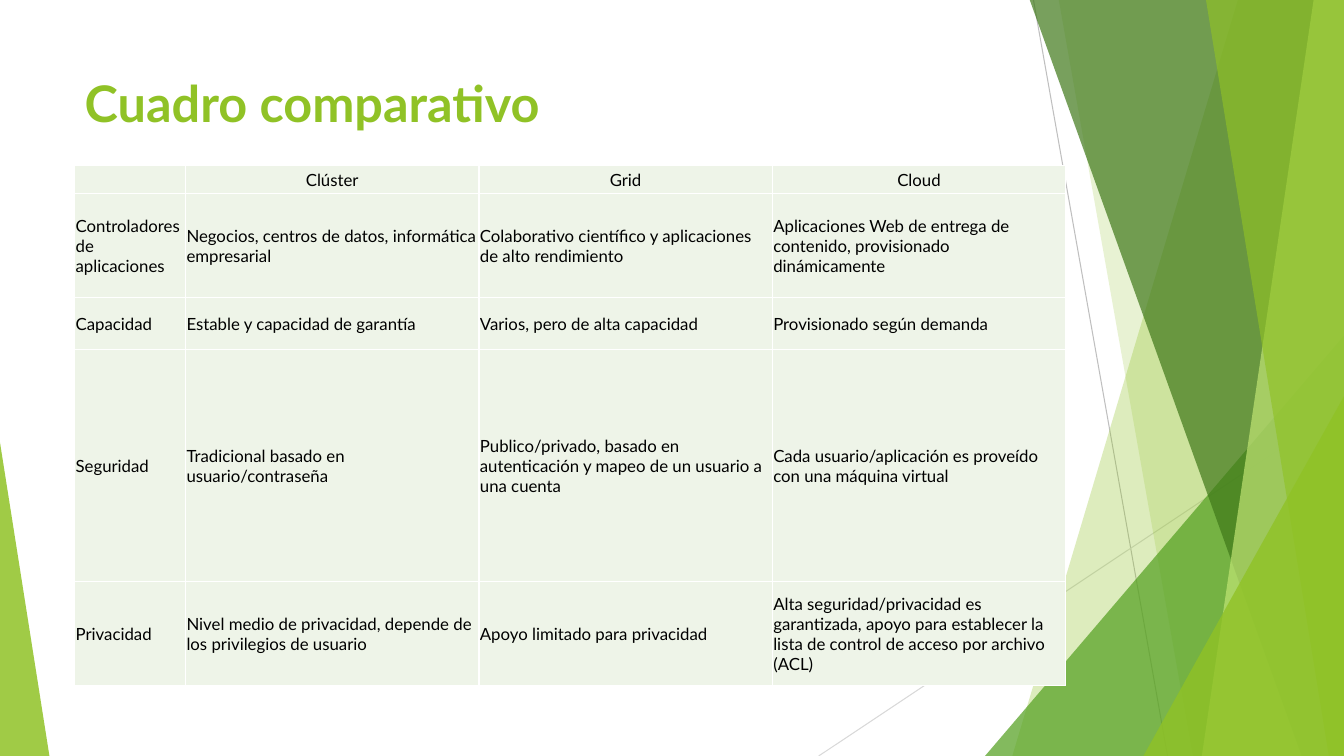
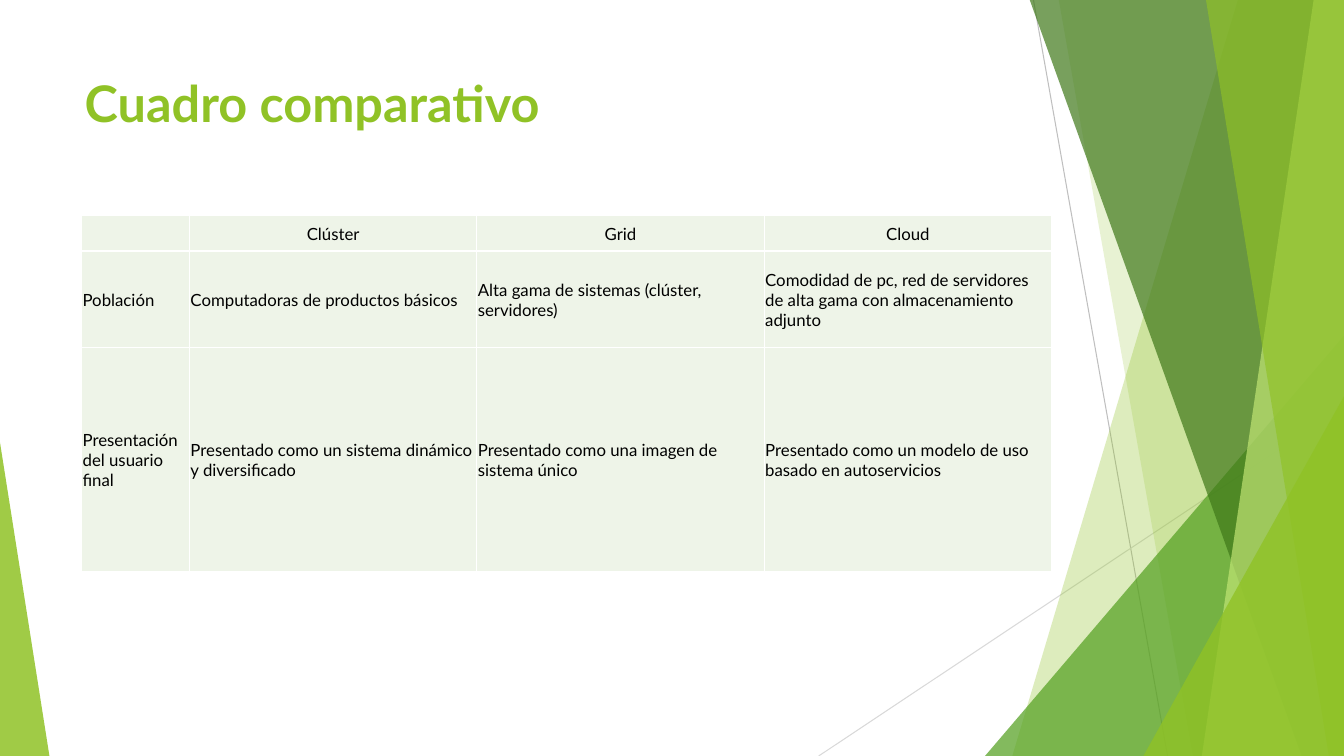
from lxml import etree
from pptx import Presentation
from pptx.dml.color import RGBColor
from pptx.enum.shapes import MSO_CONNECTOR, MSO_SHAPE
from pptx.enum.text import MSO_ANCHOR, PP_ALIGN
from pptx.oxml.ns import qn
from pptx.util import Inches, Pt

STRAIGHT = MSO_CONNECTOR.STRAIGHT
TRIANGLE = MSO_SHAPE.ISOSCELES_TRIANGLE
TOP, MIDDLE = MSO_ANCHOR.TOP, MSO_ANCHOR.MIDDLE
LEFT, CENTER = PP_ALIGN.LEFT, PP_ALIGN.CENTER

LIME = RGBColor(0x90, 0xC2, 0x26)
PALE_LIME = RGBColor(0xC0, 0xE4, 0x74)
GREEN = RGBColor(0x54, 0xA0, 0x21)
DARK_GREEN = RGBColor(0x3F, 0x78, 0x19)
CELL_GREEN = RGBColor(0xEE, 0xF4, 0xE8)
GRAY = RGBColor(0xBF, 0xBF, 0xBF)
LIGHT_GRAY = RGBColor(0xD9, 0xD9, 0xD9)
BLACK = RGBColor(0, 0, 0)
WHITE = RGBColor(0xFF, 0xFF, 0xFF)

FONT = "Lato"
WIDTH, HEIGHT, BLEED = 13.33, 7.5, -0.01
TITLE_BOX = (0.74, 0.67, 9.4, 1.44)
TITLE = "Cuadro comparativo"
HEADINGS = ("", "Clúster", "Grid", "Cloud")

LINES = (
    ((10.25, 0), (11.58, HEIGHT), GRAY),
    ((WIDTH, 4.03), (8.12, HEIGHT), LIGHT_GRAY),
)

APPLICATION_ROWS = (
    HEADINGS,
    ("Controladores de aplicaciones",
     "Negocios, centros de datos, informática empresarial",
     "Colaborativo científico y aplicaciones de alto rendimiento",
     "Aplicaciones Web de entrega de contenido, provisionado dinámicamente"),
    ("Capacidad",
     "Estable y capacidad de garantía",
     "Varios, pero de alta capacidad",
     "Provisionado según demanda"),
    ("Seguridad",
     "Tradicional basado en usuario/contraseña",
     "Publico/privado, basado en autenticación y mapeo de un usuario a una cuenta",
     "Cada usuario/aplicación es proveído con una máquina virtual"),
    ("Privacidad",
     "Nivel medio de privacidad, depende de los privilegios de usuario",
     "Apoyo limitado para privacidad",
     "Alta seguridad/privacidad es garantizada, apoyo para establecer la lista "
     "de control de acceso por archivo (ACL)"),
)

USER_ROWS = (
    HEADINGS,
    ("Población",
     "Computadoras de productos básicos",
     "Alta gama de sistemas (clúster, servidores)",
     "Comodidad de pc, red de servidores de alta gama con almacenamiento adjunto"),
    ("Presentación del usuario final",
     "Presentado como un sistema dinámico y diversificado",
     "Presentado como una imagen de sistema único",
     "Presentado como un modelo de uso basado en autoservicios"),
)


def paint(shape, color, opacity):
    """Fill a shape with a translucent colour, without outline or shadow."""
    shape.shadow.inherit = False
    shape.line.fill.background()
    shape.fill.solid()
    shape.fill.fore_color.rgb = color
    color_element = shape.element.spPr.find(qn("a:solidFill"))[0]
    etree.SubElement(color_element, qn("a:alpha"), val=str(opacity * 1000))
    return shape


def add_line(slide, start, end, color):
    """Draw a thin straight line."""
    points = [Inches(value) for value in (*start, *end)]
    line = slide.shapes.add_connector(STRAIGHT, *points)
    line.line.color.rgb = color
    line.line.width = Pt(0.75)
    etree.SubElement(line.element.spPr, qn("a:effectLst"))
    return line


def add_band(slide, top_x, bottom_x, color, opacity):
    """Draw a full-height band from a slanted left edge to the right border."""
    builder = slide.shapes.build_freeform(Inches(top_x), Inches(BLEED))
    corners = ((WIDTH, BLEED), (WIDTH, HEIGHT), (bottom_x, HEIGHT))
    builder.add_line_segments([(Inches(x), Inches(y)) for x, y in corners])
    return paint(builder.convert_to_shape(), color, opacity)


def add_triangle(slide, left, top, width, apex, color, opacity):
    """Draw a triangle that stands on the bottom border."""
    box = [Inches(value) for value in (left, top, width, HEIGHT - top)]
    triangle = slide.shapes.add_shape(TRIANGLE, *box)
    triangle.adjustments[0] = apex
    return paint(triangle, color, opacity)


def add_decoration(slide, layout):
    """Draw the green facets and move them behind the layout's placeholders."""
    facets = [add_line(slide, *line) for line in LINES]
    facets += [
        add_band(slide, 12.28, 10.04, LIME, 30),
        add_band(slide, 10.5, 11.83, LIME, 20),
        add_triangle(slide, 9.77, 3.33, 3.56, 1, GREEN, 72),
        add_band(slide, 10.21, 12.91, DARK_GREEN, 70),
        add_band(slide, 13.03, 11.92, PALE_LIME, 70),
        add_band(slide, 11.96, 13.18, LIME, 65),
        add_triangle(slide, 11.34, 3.93, 1.99, 1, LIME, 80),
        add_triangle(slide, 0, 4.39, 0.49, 0, LIME, 85),
    ]
    first_placeholder = layout.placeholders[0].element
    for facet in facets:
        first_placeholder.addprevious(facet.element)


def add_text(paragraph, text, size, color, bold=False):
    """Add one formatted run to a paragraph."""
    run = paragraph.add_run()
    run.text = text
    run.font.name = FONT
    run.font.size = Pt(size)
    run.font.bold = bold
    run.font.color.rgb = color


def add_title(slide, box):
    """Place and fill the title placeholder."""
    title = slide.shapes.title
    title.left, title.top, title.width, title.height = map(Inches, box)
    frame = title.text_frame
    frame.vertical_anchor = TOP
    frame.word_wrap = True
    frame.paragraphs[0].alignment = LEFT
    add_text(frame.paragraphs[0], TITLE, 36, LIME, bold=True)


def add_borders(cell):
    """Give a cell white borders on its four sides."""
    properties = cell._tc.get_or_add_tcPr()
    for side in ("lnL", "lnR", "lnT", "lnB"):
        border = etree.SubElement(properties, qn(f"a:{side}"), w=str(Pt(1)))
        fill = etree.SubElement(border, qn("a:solidFill"))
        etree.SubElement(fill, qn("a:srgbClr"), val=str(WHITE))


def fill_cell(cell, text, alignment):
    """Format a table cell and write its text."""
    add_borders(cell)
    cell.fill.solid()
    cell.fill.fore_color.rgb = CELL_GREEN
    cell.margin_left = cell.margin_right = cell.margin_top = Inches(0.01)
    cell.margin_bottom = 0
    cell.vertical_anchor = MIDDLE
    paragraph = cell.text_frame.paragraphs[0]
    paragraph.alignment = alignment
    if text:
        add_text(paragraph, text, 12, BLACK)
    else:
        etree.SubElement(paragraph._p, qn("a:endParaRPr"), sz="1200")


def add_comparison(slide, left, top, label_width, column_width, heights, rows):
    """Add a comparison table with a label column and equal columns after it."""
    widths = [label_width] + [column_width] * (len(HEADINGS) - 1)
    box = [Inches(value) for value in (left, top, sum(widths), sum(heights))]
    table = slide.shapes.add_table(len(rows), len(widths), *box).table
    table.first_row = table.horz_banding = False
    for column, width in zip(table.columns, widths):
        column.width = Inches(width)
    for row_index, (height, texts) in enumerate(zip(heights, rows)):
        table.rows[row_index].height = Inches(height)
        alignment = LEFT if row_index else CENTER
        for column_index, text in enumerate(texts):
            fill_cell(table.cell(row_index, column_index), text, alignment)


def main():
    """Build the two comparison slides and save them."""
    presentation = Presentation()
    presentation.slide_width = Inches(WIDTH)
    presentation.slide_height = Inches(HEIGHT)
    layout = presentation.slide_layouts[5]
    tables = (
        (0.74, 1.64, 1.1, 2.91, (0.28, 1.03, 0.52, 2.3, 1.03), APPLICATION_ROWS),
        (0.81, 2.14, 1.07, 2.85, (0.35, 0.96, 2.22), USER_ROWS),
    )
    slides = [presentation.slides.add_slide(layout) for _ in tables]
    add_decoration(slides[0], layout)
    for slide, table in zip(slides, tables):
        add_title(slide, TITLE_BOX)
        add_comparison(slide, *table)
    presentation.save("out.pptx")


if __name__ == "__main__":
    main()
